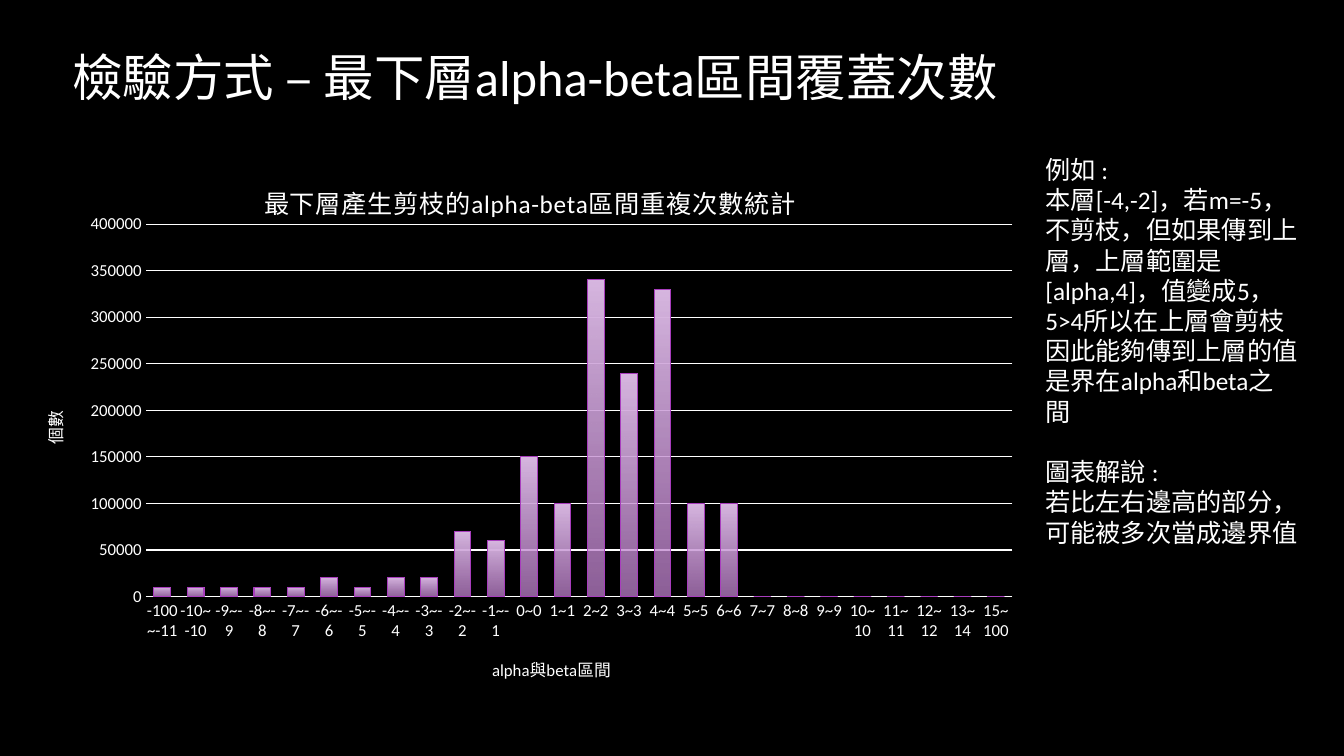
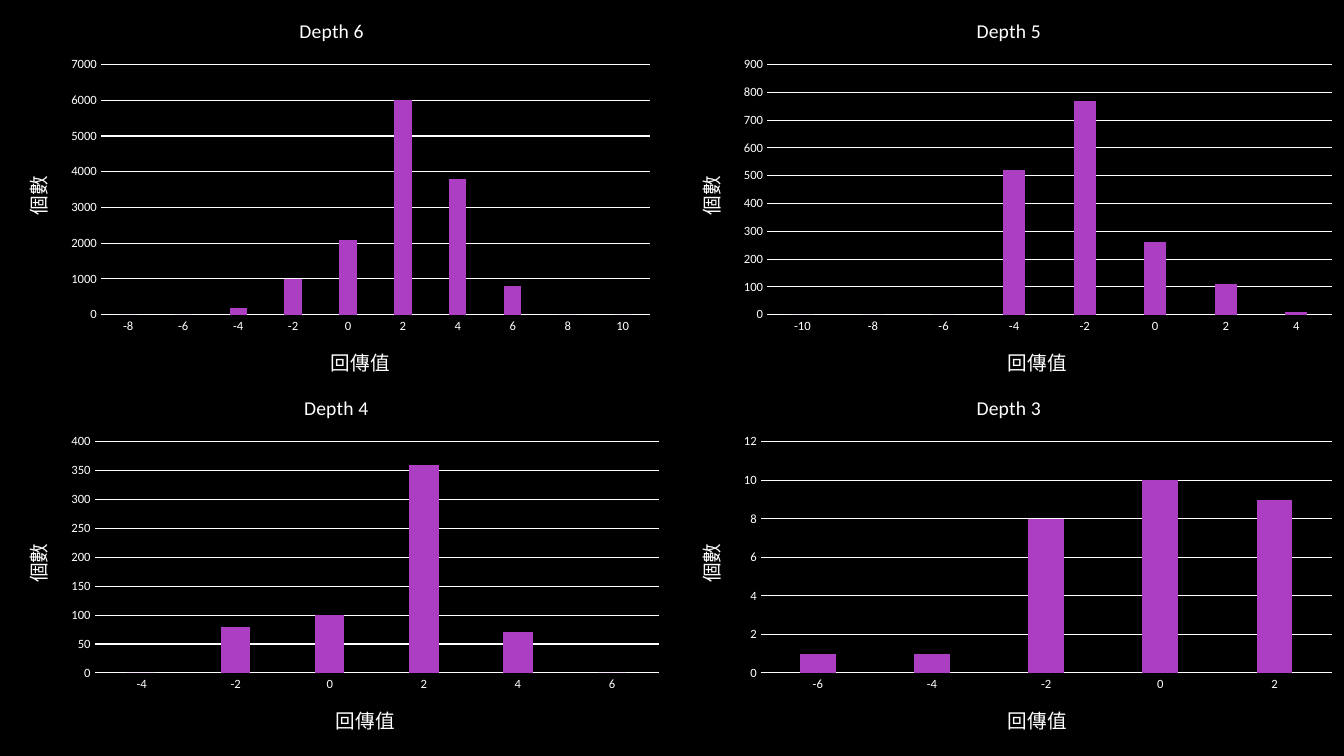
import pptx
import pptx.chart.data
import pptx.dml.color
import pptx.enum.chart
import pptx.enum.text
import pptx.oxml
import pptx.oxml.ns
import pptx.util
from pptx.util import Inches, Pt

RGBColor = pptx.dml.color.RGBColor
BLACK = RGBColor(0x00, 0x00, 0x00)
WHITE = RGBColor(0xFF, 0xFF, 0xFF)
PURPLE = RGBColor(0xAC, 0x3E, 0xC1)
PURPLE_EDGE = RGBColor(0xA8, 0x3D, 0xBD)
LILAC = RGBColor(0xD8, 0xB7, 0xE1)
ORCHID = RGBColor(0xBF, 0x82, 0xCE)

FONT = {"name": "Calibri", "bold": False}
LINE_GAP = Pt(21.6)

COVERAGE_RANGES = (
    ["-100~-11"]
    + [f"{value}~{value}" for value in range(-10, 13)]
    + ["13~14", "15~100"]
)
COVERAGE_COUNTS = [
    10000, 10000, 10000, 10000, 10000, 20000, 10000, 20000, 20000,
    70000, 60000, 150000, 100000, 340000, 240000, 330000, 100000, 100000,
] + [0] * 8
COVERAGE_STYLE = {
    "title_size": 18, "axis_title_size": 12, "label_size": 12,
    "gap_width": 100, "overlap": -24,
}
DEPTH_STYLE = {
    "title_size": 14, "axis_title_size": 14, "label_size": 9,
    "gap_width": 219, "overlap": -27,
}
# title, place, first return value, counts, axis maximum, axis step
DEPTH_CHARTS = [
    ("Depth 6", (0, 0, 6.58, 3.95), -8,
     [0, 0, 200, 1000, 2100, 6000, 3800, 800, 0, 0], 7000, 1000),
    ("Depth 5", (6.67, 0, 6.67, 3.95), -10,
     [0, 0, 0, 520, 770, 260, 110, 10], 900, 100),
    ("Depth 4", (0, 3.75, 6.67, 3.75), -4,
     [0, 80, 100, 360, 70, 0], 400, 50),
    ("Depth 3", (6.67, 3.75, 6.67, 3.75), -6,
     [1, 1, 8, 10, 9], 12, 2),
]
# text, space before
NOTES = [
    ("例如 :", 0),
    ("本層[-4,-2]，若m=-5，不剪枝，但如果傳到上層，上層範圍是[alpha,4]，"
     "值變成5，5>4所以在上層會剪枝", 0),
    ("因此能夠傳到上層的值是界在alpha和beta之間", 0),
    ("圖表解說 :", LINE_GAP),
    ("若比左右邊高的部分，可能被多次當成邊界值", 0),
]


def set_font(font, size):
    for name, value in {**FONT, "size": Pt(size)}.items():
        setattr(font, name, value)
    font.color.rgb = WHITE


def set_line(line, color):
    line.color.rgb = color
    line.width = Pt(0.75)


def add_page(deck):
    page = deck.slides.add_slide(deck.slide_layouts[6])
    page.background.fill.solid()
    page.background.fill.fore_color.rgb = BLACK
    return page


def add_text(page, place, lines, size):
    box = page.shapes.add_textbox(*map(Inches, place))
    frame = box.text_frame
    frame.word_wrap = True
    frame.auto_size = pptx.enum.text.MSO_AUTO_SIZE.SHAPE_TO_FIT_TEXT
    for index, (text, space_before) in enumerate(lines):
        para = frame.add_paragraph() if index else frame.paragraphs[0]
        if space_before:
            para.space_before = space_before
        span = para.add_run()
        span.text = text
        set_font(span.font, size)


def set_title(titled, text, size):
    """Title a chart or an axis."""
    title = titled.chart_title if hasattr(titled, "chart_title") else titled.axis_title
    para = title.text_frame.paragraphs[0]
    span = para.add_run()
    span.text = text
    set_font(para.font, size)
    set_font(span.font, size)


def style_axis(axis, title, style):
    set_title(axis, title, style["axis_title_size"])
    set_font(axis.tick_labels.font, style["label_size"])
    none = pptx.enum.chart.XL_TICK_MARK.NONE
    for name, value in {"major_tick_mark": none, "minor_tick_mark": none}.items():
        setattr(axis, name, value)


def add_column_chart(page, place, title, category_title, categories, counts,
                     maximum, step, style):
    data = pptx.chart.data.CategoryChartData()
    data.categories = categories
    data.add_series("Series 1", counts)
    kind = pptx.enum.chart.XL_CHART_TYPE.COLUMN_CLUSTERED
    chart = page.shapes.add_chart(kind, *map(Inches, place), data).chart
    chart.has_legend = False
    set_font(chart.font, 10)
    set_title(chart, title, style["title_size"])

    style_axis(chart.category_axis, category_title, style)
    set_line(chart.category_axis.format.line, WHITE)
    counts_axis = chart.value_axis
    style_axis(counts_axis, "個數", style)
    scale = {"minimum_scale": 0, "maximum_scale": maximum, "major_unit": step}
    for name, value in scale.items():
        setattr(counts_axis, name, value)
    counts_axis.format.line.fill.background()
    set_line(counts_axis.major_gridlines.format.line, WHITE)
    for body in chart.element.xpath(".//c:valAx/c:title//a:bodyPr"):
        body.set("rot", "-5400000")
        body.set("vert", "horz")

    plot = chart.plots[0]
    plot.vary_by_categories = False
    for name in ("gap_width", "overlap"):
        setattr(plot, name, style[name])
    series = plot.series[0]
    series.invert_if_negative = False
    series.format.fill.solid()
    series.format.fill.fore_color.rgb = PURPLE
    return chart


def fade_columns(chart):
    """Give the columns an outline and a gradient that ends translucent."""
    column = chart.plots[0].series[0].format
    set_line(column.line, PURPLE_EDGE)
    column.fill.gradient()
    column.fill.gradient_angle = 270
    for stop, color, position in zip(column.fill.gradient_stops, (LILAC, ORCHID), (0, 1)):
        stop.color.rgb = color
        stop.position = position
    last_color = chart.element.xpath(".//c:ser//a:gs/a:srgbClr")[-1]
    alpha = pptx.oxml.parse_xml(f'<a:alpha {pptx.oxml.ns.nsdecls("a")} val="74000"/>')
    last_color.append(alpha)


def place_plot(chart, **fractions):
    """Fix the inner plot area, in fractions of the chart."""
    area = chart.element.xpath(".//c:plotArea")[0]
    for layout in area.xpath("./c:layout"):
        area.remove(layout)
    settings = {"layoutTarget": "inner", "xMode": "edge", "yMode": "edge", **fractions}
    items = "".join(f'<c:{name} val="{value}"/>' for name, value in settings.items())
    area.insert(0, pptx.oxml.parse_xml(
        f'<c:layout {pptx.oxml.ns.nsdecls("c")}>'
        f"<c:manualLayout>{items}</c:manualLayout></c:layout>"))


def build_coverage_page(deck):
    page = add_page(deck)
    chart = add_column_chart(
        page, (0.37, 1.59, 9.77, 5.28), "最下層產生剪枝的alpha-beta區間重複次數統計",
        "alpha與beta區間", COVERAGE_RANGES, COVERAGE_COUNTS, 400000, 50000, COVERAGE_STYLE)
    fade_columns(chart)
    place_plot(chart, x=0.11, y=0.12, w=0.88, h=0.7)
    for properties in chart.element.xpath("./c:chart/c:title//a:rPr"):
        properties.set("spc", "50")
    add_text(page, (10.27, 1.48, 2.7, 4.34), NOTES, 18)
    add_text(page, (0.62, 0.41, 9.65, 0.71),
             [("檢驗方式 – 最下層alpha-beta區間覆蓋次數", 0)], 36)


def build_depth_page(deck):
    page = add_page(deck)
    for title, place, first, counts, maximum, step in DEPTH_CHARTS:
        categories = [str(first + 2 * index) for index in range(len(counts))]
        add_column_chart(page, place, title, "回傳值", categories, counts,
                         maximum, step, DEPTH_STYLE)


def main():
    deck = pptx.Presentation()
    deck.slide_width = Inches(13.33)
    deck.slide_height = Inches(7.5)
    build_coverage_page(deck)
    build_depth_page(deck)
    deck.save("out.pptx")


if __name__ == "__main__":
    main()
